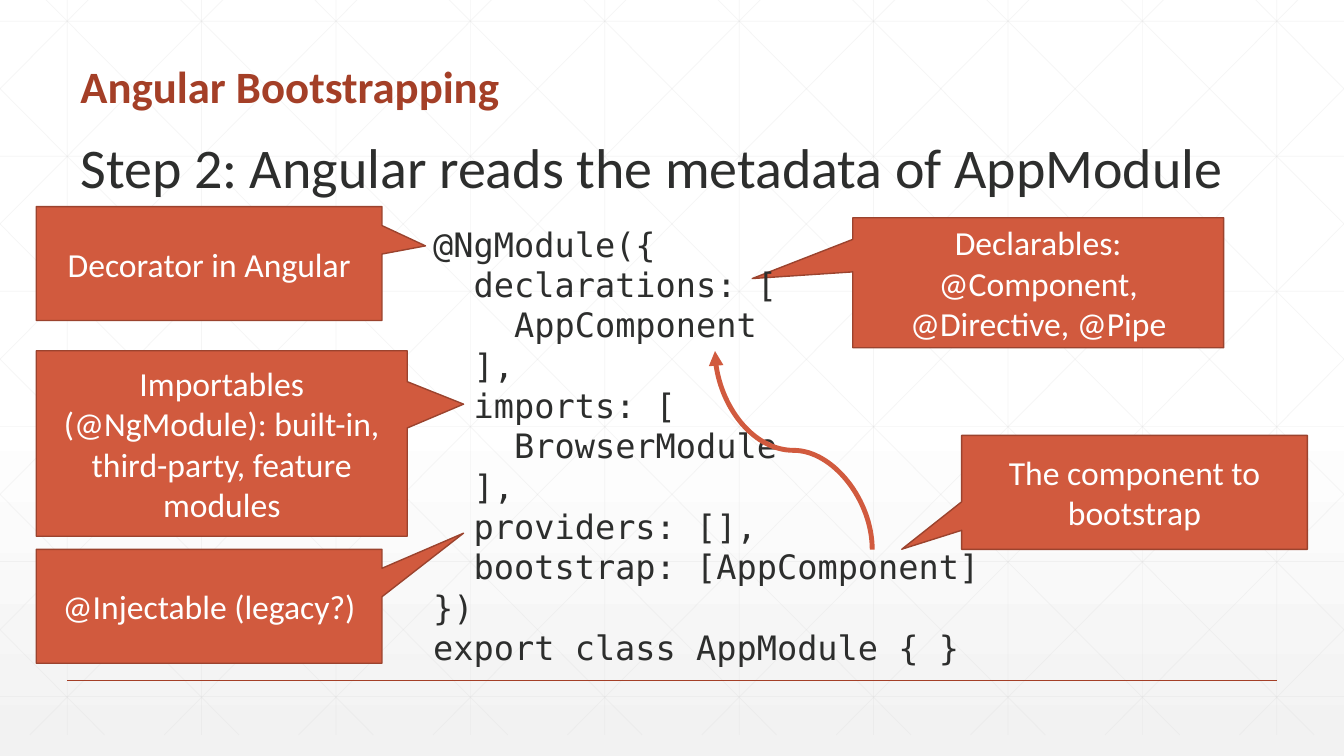
import copy

import pptx
import pptx.dml.color
import pptx.enum.shapes
import pptx.enum.text
import pptx.oxml
import pptx.oxml.ns
import pptx.util

COLORS = {"white": "FFFFFF", "shade": "F2F2F2", "mesh": "D9D9D9", "brick": "A43F27",
          "ink": "2D2E2D", "callout": "D15A3E", "edge": "9B432E"}
COLUMNS, ROWS = 40, 22.5
CELL = pptx.util.Inches(13.3333 / COLUMNS)
ALIGN = pptx.enum.text.PP_ALIGN
ANCHOR = pptx.enum.text.MSO_ANCHOR
CONNECTOR = pptx.enum.shapes.MSO_CONNECTOR
qn = pptx.oxml.ns.qn

CODE = [(0, "@NgModule({"), (1, "declarations: ["), (2, "AppComponent"), (1, "],"),
        (1, "imports: ["), (2, "BrowserModule"), (1, "],"), (1, "providers: [],"),
        (1, "bootstrap: [AppComponent]"), (0, "})"), (0, "export class AppModule { }")]


def grid(*cells):
    return [round(cell * CELL) for cell in cells]


def rgb(name):
    return pptx.dml.color.RGBColor.from_string(COLORS[name])


def add_alpha(element, percent):
    color = element.find(".//" + qn("a:srgbClr"))
    color.append(color.makeelement(qn("a:alpha"), {"val": str(percent * 1000)}))


def write_text(shape, lines, size=24, color="ink", font="Calibri", bold=False,
               align=ALIGN.LEFT, anchor=ANCHOR.TOP, spacing=None, indent=0):
    frame = shape.text_frame
    frame.word_wrap = True
    frame.vertical_anchor = anchor
    for index, (level, text) in enumerate(lines):
        paragraph = frame.add_paragraph() if index else frame.paragraphs[0]
        paragraph.alignment = align
        paragraph.line_spacing = spacing
        if level:
            paragraph._p.get_or_add_pPr().set("marL", str(level * indent))
        run = paragraph.add_run()
        run.text = text
        run.font.size = pptx.util.Pt(size)
        run.font.name = font
        run.font.bold = bold
        run.font.color.rgb = rgb(color)


def add_line(slide, start, end, color, width, kind=CONNECTOR.STRAIGHT, alpha=None):
    connector = slide.shapes.add_connector(kind, *grid(*start, *end))
    connector.line.color.rgb = rgb(color)
    connector.line.width = pptx.util.Pt(width)
    properties = connector._element.spPr
    properties.append(properties.makeelement(qn("a:effectLst"), {}))
    if alpha:
        add_alpha(properties, alpha)
    return connector


def add_background(slide):
    fill = slide.background.fill
    fill.gradient()
    fill.gradient_angle = 270
    stops = slide._element.find(".//" + qn("a:gsLst"))
    stops.insert(1, copy.deepcopy(stops[0]))
    for stop, position, color in zip(fill.gradient_stops, (0, 0.53, 1), ("white", "white", "shade")):
        stop.position = position
        stop.color.rgb = rgb(color)
    add_alpha(stops[2], 65)


def add_mesh(slide, box):
    left, top, width, height = box
    right, bottom = left + width, top + height
    step, run = 4, 22.36
    lines = [((x, top), (x, bottom)) for x in range(2, COLUMNS, step)]
    lines += [((left, 0.63 + 4.02 * i), (right, 0.63 + 4.02 * i)) for i in range(6)]
    slope = height / run
    for i in range(-5, 10):
        foot = left + 0.75 + step * i
        first, last = max(foot, left), min(foot + run, right)
        start, end = [(x, top + (x - foot) * slope) for x in (first, last)]
        lines.append((start, end))
        lines.append(tuple((left + right - x, y) for x, y in (start, end)))
    for start, end in lines:
        add_line(slide, start, end, "mesh", 0.5, alpha=25)


def add_text_box(slide, box, lines, **style):
    write_text(slide.shapes.add_textbox(*grid(*box)), lines, **style)


def add_callout(slide, box, text, pointer):
    shape = slide.shapes.add_shape(
        pptx.enum.shapes.MSO_SHAPE.RECTANGULAR_CALLOUT, *grid(*box))
    shape.shadow.inherit = False
    shape.adjustments[0], shape.adjustments[1] = pointer
    shape.fill.solid()
    shape.fill.fore_color.rgb = rgb("callout")
    shape.line.color.rgb = rgb("edge")
    shape.line.width = pptx.util.Pt(1)
    write_text(shape, [(0, text)], color="white", align=ALIGN.CENTER, anchor=ANCHOR.MIDDLE)


def add_curved_arrow(slide, box):
    left, top, width, height = box
    middle, center = left + width / 2, top + height / 2
    start = (middle - height / 2, center + width / 2)
    end = (middle + height / 2, center - width / 2)
    arrow = add_line(slide, start, end, "callout", 3.5, CONNECTOR.CURVE)
    arrow._element.spPr.find(qn("a:xfrm")).set("rot", str(270 * 60000))
    outline = arrow.line._get_or_add_ln()
    outline.append(outline.makeelement(qn("a:tailEnd"), {"type": "triangle"}))


def add_heading(slide, box):
    left, top, width, height = box
    add_text_box(slide, (left, top, width, 1.86), [(0, "Angular Bootstrapping")], size=32,
                 color="brick", bold=True, anchor=ANCHOR.BOTTOM, spacing=0.9)
    add_text_box(slide, (left, top + 2.16, width, height - 2.16),
                 [(0, "Step 2: Angular reads the metadata of AppModule")], size=40)


def add_module_diagram(slide, box):
    left, top, width, height = box
    small, large = 10.29, 11.04
    low = 3.39
    add_callout(slide, (left + 24.3, top + 0.33, large, 3.87),
                "Declarables: @Component, @Directive, @Pipe", (-0.771, -0.032))
    add_text_box(slide, (left + 11.52, top + 0.36, 22.59, height), CODE,
                 font="DejaVu Sans Mono", spacing=pptx.util.Pt(28.8),
                 indent=pptx.util.Pt(28.9))
    add_callout(slide, (left, top + 10.2, small, low), "@Injectable (legacy?)", (0.736, -0.642))
    add_callout(slide, (left, top + 4.29, large, 5.52),
                "Importables (@NgModule): built-in, third-party, feature modules", (0.652, -0.212))
    add_callout(slide, (left + width - small, top + 6.81, small, low),
                "The component to bootstrap", (-0.673, 0.499))
    add_curved_arrow(slide, (left + 20.2, top + 4.3, 4.68, 5.91))
    add_callout(slide, (left, top, small, low), "Decorator in Angular", (0.626, -0.155))


def main():
    presentation = pptx.Presentation()
    presentation.slide_width, presentation.slide_height = grid(COLUMNS, ROWS)
    slide = presentation.slides.add_slide(presentation.slide_layouts[6])
    add_background(slide)
    add_mesh(slide, (0, -0.63, COLUMNS, ROWS))
    add_line(slide, (2, 20.25), (COLUMNS - 2, 20.25), "brick", 1)
    add_heading(slide, (2.1, 1.65, 35.91, 4.47))
    add_module_diagram(slide, (1.08, 6.15, 37.83, 13.62))
    presentation.save("out.pptx")


if __name__ == "__main__":
    main()
